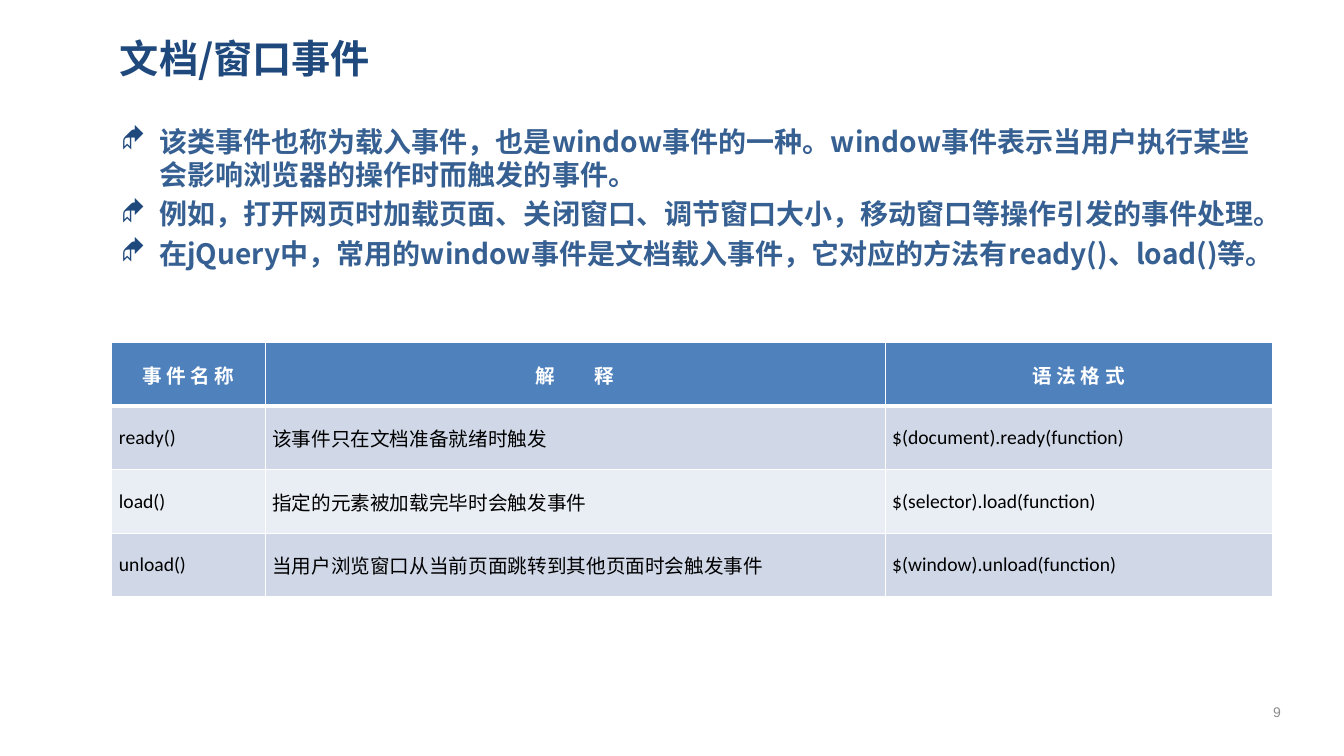
"""Build the slide about document and window events."""
import pptx
import pptx.util
import pptx.dml.color
import pptx.enum.text
import pptx.oxml
import pptx.oxml.ns
from dataclasses import dataclass
from pptx.util import Inches

TITLE = "文档/窗口事件"
POINTS = [
    "该类事件也称为载入事件，也是window事件的一种。window事件表示当用户执行某些会影响浏览器的操作时而触发的事件。",
    "例如，打开网页时加载页面、关闭窗口、调节窗口大小，移动窗口等操作引发的事件处理。",
    "在jQuery中，常用的window事件是文档载入事件，它对应的方法有ready()、load()等。",
]
EVENTS = [
    ("事 件 名 称", "解　　释", "语 法 格 式"),
    ("ready()", "该事件只在文档准备就绪时触发", "$(document).ready(function)"),
    ("load()", "指定的元素被加载完毕时会触发事件", "$(selector).load(function)"),
    ("unload()", "当用户浏览窗口从当前页面跳转到其他页面时会触发事件", "$(window).unload(function)"),
]
PAGE_NUMBER = "9"
COLUMN_WIDTHS = (1.52, 6.15, 3.84)
ROW_HEIGHT = 0.63


@dataclass(frozen=True)
class Theme:
    """Colours, fonts and type sizes of the slide."""
    navy: str = "1F497D"
    blue: str = "376092"
    header: str = "4F81BD"
    bands: tuple = ("E9EDF4", "D0D8E8")
    white: str = "FFFFFF"
    black: str = "000000"
    grey: str = "8C8C8C"
    cjk: str = "Noto Sans CJK SC"
    table: str = "Calibri"
    number: str = "Arial"
    title_size: int = 28
    body_size: int = 20
    table_size: int = 14
    number_size: int = 10


THEME = Theme()
ALIGN = pptx.enum.text.PP_ALIGN
MIDDLE = pptx.enum.text.MSO_ANCHOR.MIDDLE


def rgb(value):
    """Return a colour object for a hex value."""
    return pptx.dml.color.RGBColor.from_string(value)


def xml(markup):
    """Parse one DrawingML element."""
    return pptx.oxml.parse_xml(markup.replace(" ", f" {pptx.oxml.ns.nsdecls('a')} ", 1))


def write(paragraph, text, *, size, color, font, bold=False, align=ALIGN.LEFT):
    """Add formatted text to a paragraph."""
    paragraph.alignment = align
    run = paragraph.add_run()
    run.text = text
    run.font.size = pptx.util.Pt(size)
    run.font.bold = bold
    run.font.name = font
    run.font.color.rgb = rgb(color)
    run.font._element.find(pptx.oxml.ns.qn("a:latin")).addnext(
        xml(f'<a:ea typeface="{THEME.cjk}"/>'))


def place(shape, left, top, width, height, anchor):
    """Position a text shape and return its frame."""
    shape.left, shape.top = Inches(left), Inches(top)
    shape.width, shape.height = Inches(width), Inches(height)
    frame = shape.text_frame
    frame.word_wrap = True
    frame.auto_size = pptx.enum.text.MSO_AUTO_SIZE.NONE
    frame.vertical_anchor = anchor
    frame.margin_left = frame.margin_right = Inches(0.09)
    frame.margin_top = frame.margin_bottom = Inches(0.04)
    return frame


def add_bullet(paragraph):
    """Give a paragraph a diamond bullet and a hanging indent."""
    properties = paragraph._p.get_or_add_pPr()
    properties.set("marL", str(Inches(0.38)))
    properties.set("indent", str(-Inches(0.38)))
    for markup in (f'<a:buClr ><a:srgbClr val="{THEME.navy}"/></a:buClr>',
                   '<a:buFont typeface="Wingdings"/>', '<a:buChar char="◆"/>'):
        properties.append(xml(markup))


def add_borders(cell, top, bottom):
    """Draw white borders round a cell."""
    properties = cell._tc.get_or_add_tcPr()
    for position, (side, points) in enumerate(zip("LRTB", (1, 1, top, bottom))):
        properties.insert(position, xml(
            f'<a:ln{side} w="{pptx.util.Pt(points)}"><a:solidFill>'
            f'<a:srgbClr val="{THEME.white}"/></a:solidFill></a:ln{side}>'))


def add_events(slide):
    """Add the table of events."""
    events = slide.shapes.add_table(
        len(EVENTS), len(COLUMN_WIDTHS), Inches(1.11), Inches(3.4),
        Inches(sum(COLUMN_WIDTHS)), Inches(ROW_HEIGHT * len(EVENTS))).table
    for column, width in zip(events.columns, COLUMN_WIDTHS):
        column.width = Inches(width)
    for r, entries in enumerate(EVENTS):
        events.rows[r].height = Inches(ROW_HEIGHT)
        heading = r == 0
        for c, entry in enumerate(entries):
            cell = events.cell(r, c)
            cell.vertical_anchor = MIDDLE
            cell.margin_left = cell.margin_right = Inches(0.07)
            cell.margin_top = cell.margin_bottom = 0
            cell.fill.solid()
            cell.fill.fore_color.rgb = rgb(THEME.header if heading else THEME.bands[r % 2])
            add_borders(cell, top=3 if r == 1 else 1, bottom=3 if heading else 1)
            write(cell.text_frame.paragraphs[0], entry, size=THEME.table_size,
                  font=THEME.table, bold=heading,
                  color=THEME.white if heading else THEME.black,
                  align=ALIGN.CENTER if heading else ALIGN.JUSTIFY)


def main():
    """Build and save the presentation."""
    deck = pptx.Presentation()
    deck.slide_width, deck.slide_height = Inches(13.33), Inches(7.5)
    slide = deck.slides.add_slide(deck.slide_layouts[1])

    points = place(slide.placeholders[1], 1.11, 1.19, 11.65, 5.68,
                   pptx.enum.text.MSO_ANCHOR.TOP)
    for i, point in enumerate(POINTS):
        paragraph = points.add_paragraph() if i else points.paragraphs[0]
        paragraph.line_spacing = 1.0
        paragraph.space_before = pptx.util.Pt(4)
        add_bullet(paragraph)
        write(paragraph, point, size=THEME.body_size, color=THEME.blue,
              font=THEME.cjk, bold=True)

    title = place(slide.shapes.title, 1.1, 0.24, 11.65, 0.67, MIDDLE)
    write(title.paragraphs[0], TITLE, size=THEME.title_size, color=THEME.navy,
          font=THEME.cjk, bold=True)

    number = place(slide.shapes.add_textbox(0, 0, 0, 0), 12.34, 6.86, 0.65, 0.4, MIDDLE)
    write(number.paragraphs[0], PAGE_NUMBER, size=THEME.number_size, color=THEME.grey,
          font=THEME.number, align=ALIGN.CENTER)

    add_events(slide)
    deck.save("out.pptx")


if __name__ == "__main__":
    main()
